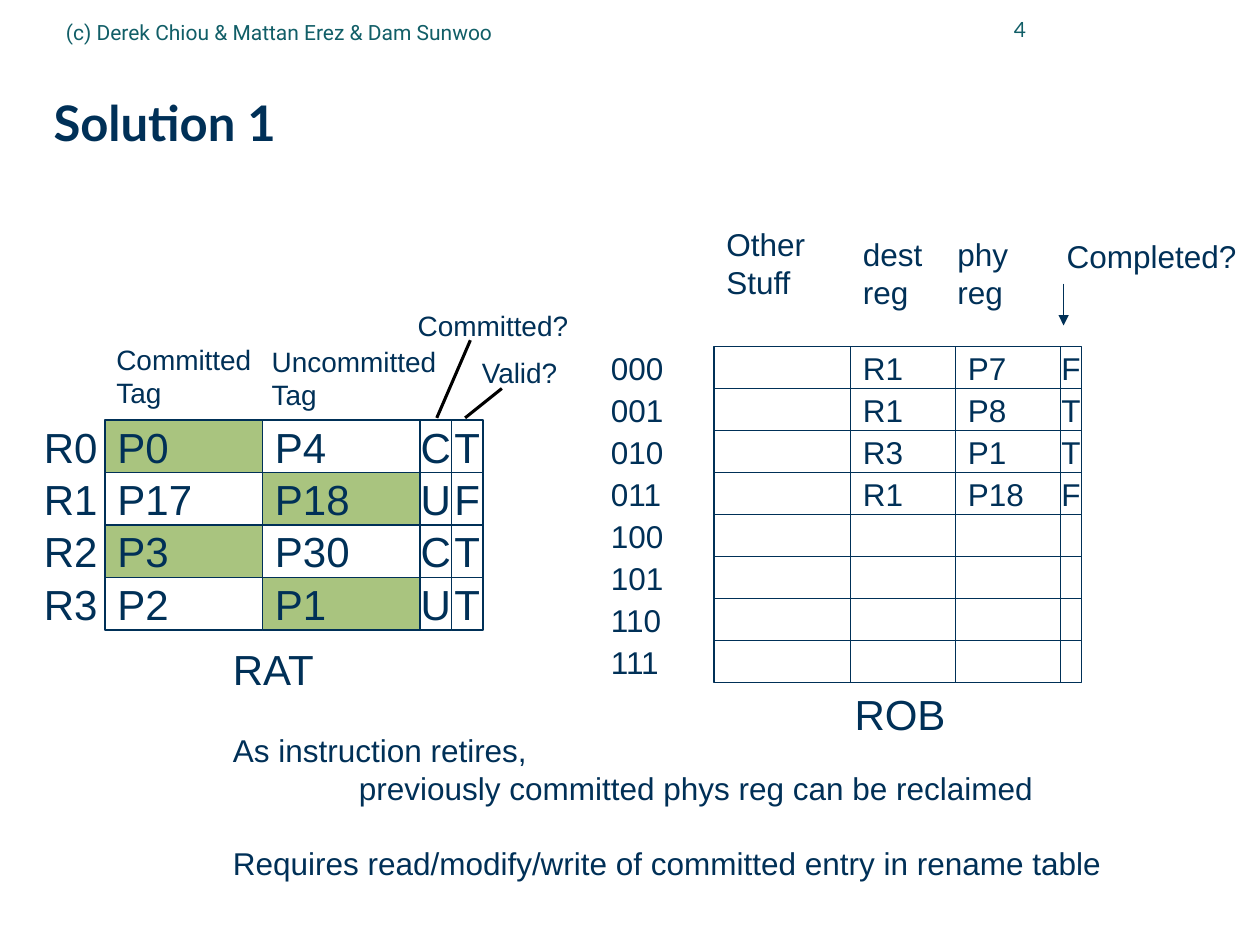
from dataclasses import dataclass
from itertools import accumulate

from lxml import etree
from pptx import Presentation
from pptx import util as u
from pptx.dml.color import RGBColor
from pptx.enum import shapes, text
from pptx.oxml.ns import qn

PX = 7620


@dataclass(frozen=True)
class Theme:
    ink: str = "003057"
    header: str = "115E67"
    highlight: str = "A9C47F"
    pointer: str = "000000"
    body_font: str = "Arial"
    title_font: str = "Lato"
    footer_font: str = "Roboto"
    title: int = 28
    large: int = 24
    medium: int = 18
    small: int = 16
    tiny: int = 12
    thin: float = 0.75
    thick: float = 1.75


THEME = Theme()
LEFT, CENTER, RIGHT = text.PP_ALIGN.LEFT, text.PP_ALIGN.CENTER, text.PP_ALIGN.RIGHT


def px(*values):
    return [u.Emu(value * PX) for value in values]


def write(shape, lines, size, align=LEFT, font=THEME.body_font, color=THEME.ink,
          bold=False, wrap=False, middle=True):
    frame = shape.text_frame
    frame.word_wrap = wrap
    frame.vertical_anchor = text.MSO_ANCHOR.MIDDLE if middle else text.MSO_ANCHOR.TOP
    for index, line in enumerate(lines):
        paragraph = frame.add_paragraph() if index else frame.paragraphs[0]
        paragraph.text = line
        paragraph.alignment = align
        paragraph.font.name = font
        paragraph.font.size = u.Pt(size)
        paragraph.font.bold = bold
        paragraph.font.color.rgb = RGBColor.from_string(color)
    return frame


def add_text(slide, box, lines, size, **style):
    return write(slide.shapes.add_textbox(*px(*box)), lines, size, **style)


def add_label(slide, origin, box, lines, size):
    left, top, width, height = box
    frame = add_text(slide, (origin[0] + left, origin[1] + top, width, height),
                     lines, size, middle=False)
    frame.auto_size = text.MSO_AUTO_SIZE.SHAPE_TO_FIT_TEXT
    return frame


def add_cell(slide, box, value, size, align, filled):
    cell = slide.shapes.add_shape(shapes.MSO_SHAPE.RECTANGLE, *px(*box))
    cell.shadow.inherit = False
    if filled:
        cell.fill.solid()
        cell.fill.fore_color.rgb = RGBColor.from_string(THEME.highlight)
    else:
        cell.fill.background()
    cell.line.color.rgb = RGBColor.from_string(THEME.ink)
    cell.line.width = u.Pt(THEME.thin)
    if value:
        frame = write(cell, [value], size, align)
        if align == CENTER:
            frame.margin_left = frame.margin_right = 0


def add_line(slide, origin, start, end, color, width, arrow=False):
    points = [origin[axis] + point[axis] for point in (start, end) for axis in (0, 1)]
    line = slide.shapes.add_connector(shapes.MSO_CONNECTOR.STRAIGHT, *px(*points))
    line.line.color.rgb = RGBColor.from_string(color)
    line.line.width = u.Pt(width)
    if arrow:
        outline = line.line._get_or_add_ln()
        etree.SubElement(outline, qn("a:tailEnd")).set("type", "triangle")
    etree.SubElement(line._element.spPr, qn("a:effectLst"))


def add_grid(slide, origin, widths, height, rows, size, label_box, highlights=()):
    left, top = origin
    offsets = list(accumulate(widths, initial=0))
    label_left, label_width = label_box
    for row, (label, *values) in enumerate(rows):
        y = top + row * height
        frame = add_text(slide, (left + label_left, y, label_width, height), [label], size)
        frame.margin_right = 0
        for column, value in enumerate(values):
            box = (left + offsets[column], y, widths[column], height)
            align = CENTER if widths[column] < height else LEFT
            add_cell(slide, box, value, size, align, (row, column) in highlights)


def add_heading(slide, box):
    left, top, width, height = box
    frame = add_text(slide, (left, top + 57, width, height - 57), ["Solution 1"], THEME.title,
                     font=THEME.title_font, bold=True, wrap=True)
    frame.margin_left = frame.margin_right = frame.margin_top = frame.margin_bottom = 0
    frame.paragraphs[0].line_spacing = 0.99
    add_text(slide, (left + 829, top - 5, 109, 60), ["4"], THEME.tiny, align=RIGHT,
             font=THEME.title_font, color=THEME.header, wrap=True)
    add_text(slide, (left, top, 680, 55), ["(c) Derek Chiou & Mattan Erez & Dam Sunwoo"],
             THEME.tiny, font=THEME.footer_font, color=THEME.header, wrap=True)


def add_rat(slide, origin):
    rows = [("R0", "P0", "P4", "C", "T"), ("R1", "P17", "P18", "U", "F"),
            ("R2", "P3", "P30", "C", "T"), ("R3", "P2", "P1", "U", "T")]
    current = {(row, int(values[3] == "U")) for row, values in enumerate(rows)}
    add_grid(slide, origin, (150, 150, 30, 30), 50, rows, THEME.large, (-70, 70), current)
    for box, lines in (((-1, -80, 155, 77), ["Committed", "Tag"]),
                       ((147, -78, 182, 77), ["Uncommitted", "Tag"]),
                       ((347, -67, 97, 44), ["Valid?"]),
                       ((286, -112, 169, 44), ["Committed?"])):
        add_label(slide, origin, box, lines, THEME.small)
    for start, end in (((348, -76), (316, -2)), ((378, -30), (343, -2))):
        add_line(slide, origin, start, end, THEME.pointer, THEME.thick)
    add_label(slide, origin, (110, 207, 102, 60), ["RAT"], THEME.large)


def add_rob(slide, origin):
    entries = [("R1", "P7", "F"), ("R1", "P8", "T"), ("R3", "P1", "T"), ("R1", "P18", "F")]
    entries += [("", "", "")] * 4
    rows = [(f"{index:03b}", "", *entry) for index, entry in enumerate(entries)]
    add_grid(slide, origin, (130, 100, 100, 20), 40, rows, THEME.medium, (-110, 100))
    for left, top, width, lines in ((0, -100, 130, ["Other", "Stuff"]),
                                    (130, -90, 100, ["dest", "reg"]),
                                    (220, -90, 100, ["phy", "reg"])):
        add_text(slide, (origin[0] + left, origin[1] + top, width, 40), lines, THEME.medium)
    add_label(slide, origin, (324, -110, 186, 48), ["Completed?"], THEME.medium)
    add_line(slide, origin, (333, -60), (333, -20), THEME.ink, THEME.thin, arrow=True)
    add_label(slide, origin, (122, 320, 112, 60), ["ROB"], THEME.large)


def add_notes(slide, box):
    frame = add_label(slide, box[:2], (0, 0, *box[2:]), [
        "As instruction retires,",
        "previously committed phys reg can be reclaimed",
        "Requires read/modify/write of committed entry in rename table",
    ], THEME.medium)
    frame.paragraphs[1]._p.get_or_add_pPr().set("marL", str(u.Inches(1)))
    frame.paragraphs[2].space_before = u.Pt(21.5)


def main():
    presentation = Presentation()
    presentation.slide_width, presentation.slide_height = px(1200, 900)
    slide = presentation.slides.add_slide(presentation.slide_layouts[6])
    add_heading(slide, (51, 3, 1129, 174))
    add_rat(slide, (100, 400))
    add_rob(slide, (680, 330))
    add_notes(slide, (210, 690, 859, 157))
    presentation.save("out.pptx")


if __name__ == "__main__":
    main()
